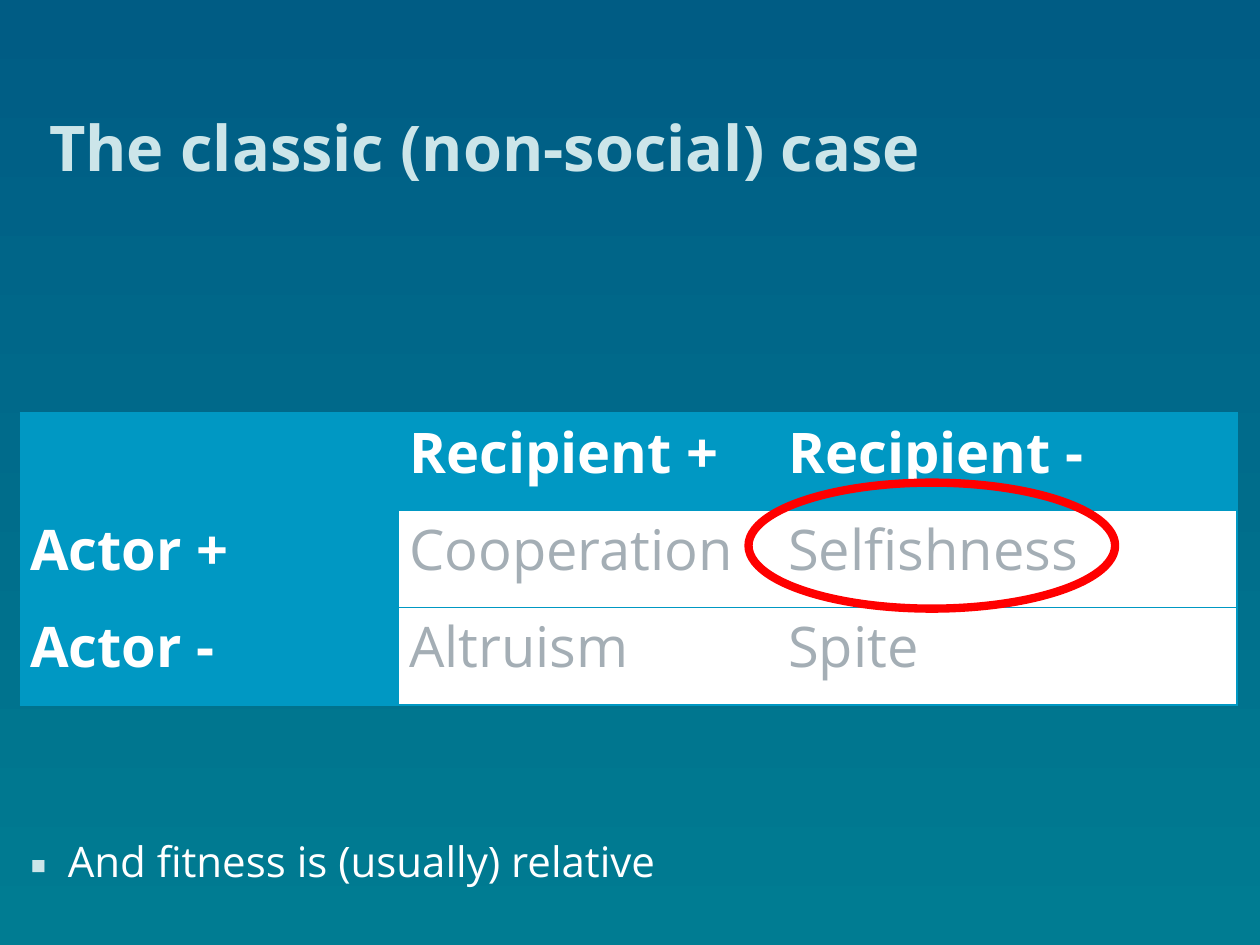
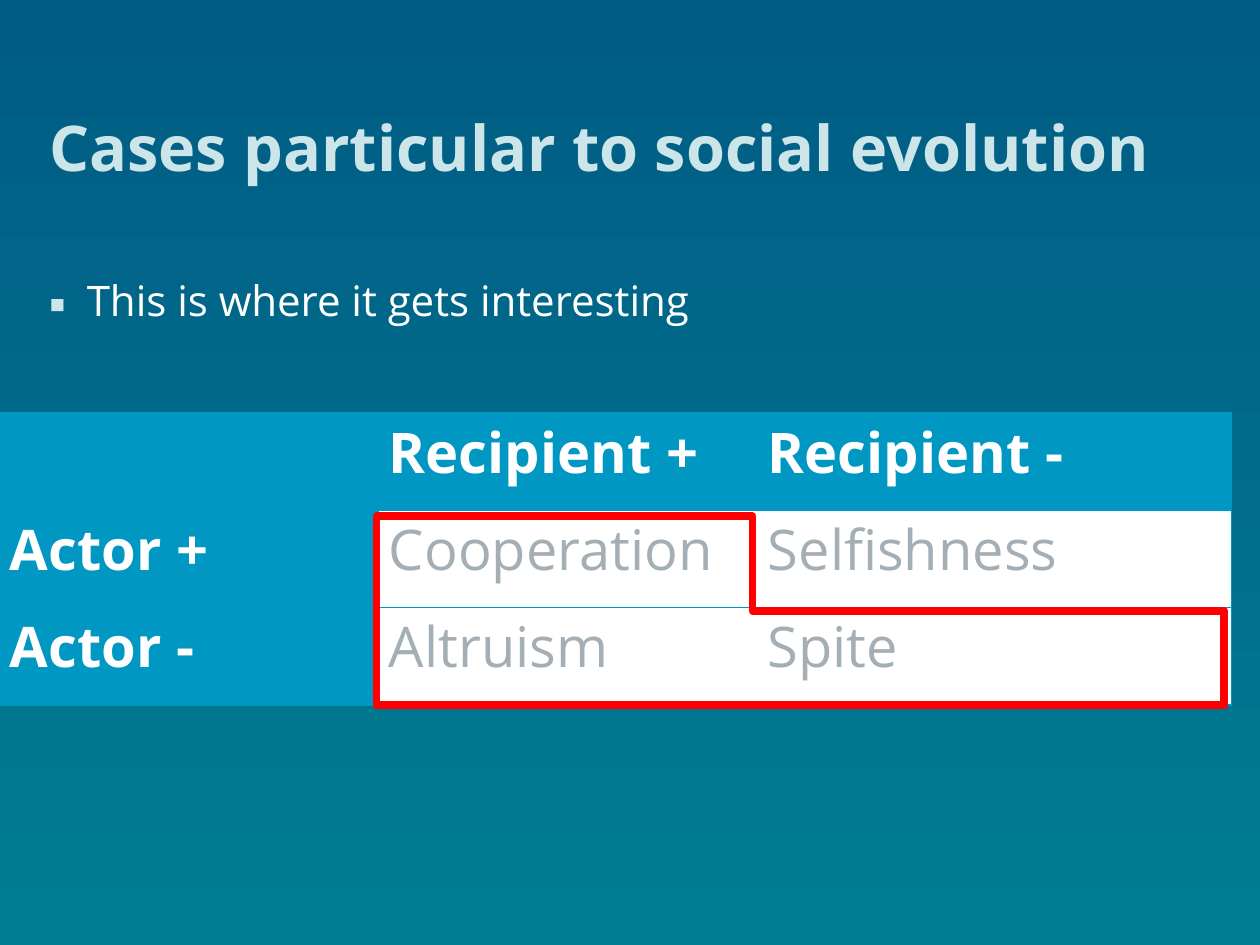
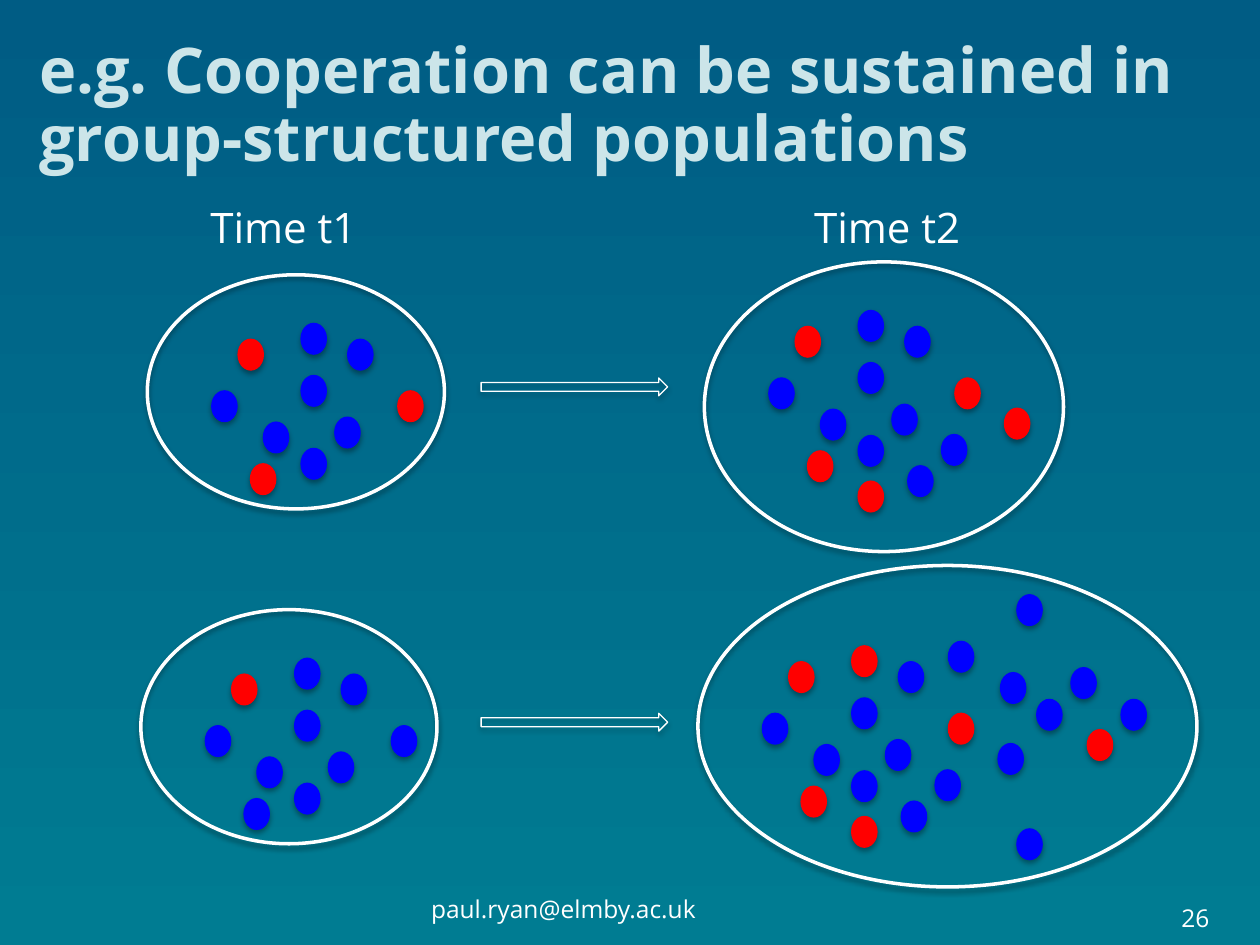
"""Build three slides on social evolution and group-structured populations."""
from lxml.etree import SubElement
from pptx import Presentation
from pptx.dml.color import RGBColor
from pptx.enum.shapes import MSO_SHAPE as Preset
from pptx.enum.text import MSO_ANCHOR as Anchor, PP_ALIGN as Align
from pptx.oxml import parse_xml
from pptx.oxml.ns import nsdecls, qn
from pptx.util import Cm, Pt

NAVY = RGBColor(0x00, 0x5C, 0x84)
TEAL = RGBColor(0x00, 0x7C, 0x92)
MIST = RGBColor(0xCC, 0xE5, 0xE9)
AZURE = RGBColor(0x00, 0x98, 0xC3)
GREY = RGBColor(0xA4, 0xAE, 0xB5)
WHITE = RGBColor(0xFF, 0xFF, 0xFF)
RED = RGBColor(0xFF, 0x00, 0x00)
BLUE = RGBColor(0x00, 0x00, 0xFF)

FONT = "Open Sans"
TITLE = {"size": Pt(36), "bold": True}
BODY = {"size": Pt(24), "bold": False}
FOOTER = {"size": Pt(14), "bold": False}
HEADING = {"size": Pt(32), "bold": True}
OUTCOME = {"size": Pt(32), "bold": False}
NO_INSETS = dict.fromkeys(
    ("margin_left", "margin_top", "margin_right", "margin_bottom"), 0)
CELL_INSETS = {**NO_INSETS, "margin_left": Cm(0.2), "margin_right": Cm(0.2)}

TITLE_BOX = (0.99, 0, 23.42, 3.73)
PAYOFFS = (
    ("", "Recipient +", "Recipient -"),
    ("Actor +", "Cooperation", "Selfishness"),
    ("Actor -", "Altruism", "Spite"),
)
TABLE_TOP = 8.33
COLUMN_WIDTH = 7.64
ROW_HEIGHT = 1.96

FOUNDERS = [
    (1.83, 1.30), (2.34, 2.97), (2.08, 3.81), (3.10, 3.50), (4.04, 1.30),
    (1.30, 2.34), (3.10, 0.98), (3.78, 2.87), (5.05, 2.34), (3.10, 2.03),
]
GROWN = FOUNDERS + [(3.10, 4.42), (4.10, 4.11), (4.78, 3.48), (6.05, 2.95)]
THRIVING = GROWN + [
    (6.10, 1.52), (6.83, 2.06), (5.05, 0.89), (7.52, 1.42),
    (7.85, 2.67), (8.53, 2.06), (6.43, 4.67), (6.43, -0.05),
]
POPULATIONS = (
    ((2.97, 5.54, 5.99, 4.72), FOUNDERS, {0, 2, 8}, 0),
    ((2.84, 12.29, 5.97, 4.72), FOUNDERS, {0}, 0),
    ((14.20, 5.28, 7.24, 5.84), GROWN, {0, 2, 8, 10, 13}, 0),
    ((14.07, 11.40, 10.06, 6.48), THRIVING, {0, 2, 6, 8, 10, 18}, 0.64),
)


def apply_formats(target, formats):
    """Set each format value on the target."""
    for attribute, value in formats.items():
        setattr(target, attribute, value)


def write(frame, words, style, color, **paragraph_formats):
    """Write one styled paragraph into a text frame."""
    paragraph = frame.paragraphs[0]
    apply_formats(paragraph, paragraph_formats)
    run = paragraph.add_run()
    run.text = words
    apply_formats(run.font, {"name": FONT, **style})
    run.font.color.rgb = color
    return paragraph


def add_words(slide, box, words, style, color=WHITE, frame_formats=None,
              **paragraph_formats):
    """Add a text box and return its paragraph."""
    frame = slide.shapes.add_textbox(*map(Cm, box)).text_frame
    apply_formats(frame, {"word_wrap": True, **NO_INSETS, **(frame_formats or {})})
    return write(frame, words, style, color, **paragraph_formats)


def add_title(slide, words, box=TITLE_BOX):
    """Add a slide title that sits on the bottom of its box."""
    add_words(slide, box, words, TITLE, MIST,
              {"vertical_anchor": Anchor.BOTTOM}, line_spacing=0.9)


def add_bullet(slide, box, words):
    """Add a body line with a small square bullet."""
    paragraph = add_words(slide, box, words, BODY, line_spacing=0.95)
    properties = paragraph._p.get_or_add_pPr()
    properties.set("marL", str(Cm(0.76)))
    properties.set("indent", str(-Cm(0.76)))
    bullet_color = SubElement(properties, qn("a:buClr"))
    SubElement(bullet_color, qn("a:srgbClr"), val=str(MIST))
    SubElement(properties, qn("a:buFont"), typeface=FONT)
    SubElement(properties, qn("a:buChar"), char="▪")


def add_borders(cell, sides):
    """Rule the named sides of a cell and clear the others."""
    properties = cell._tc.get_or_add_tcPr()
    for position, side in enumerate("LRTB"):
        paint = (f'<a:solidFill><a:srgbClr val="{AZURE}"/></a:solidFill>'
                 if side in sides else "<a:noFill/>")
        properties.insert(position, parse_xml(
            f'<a:ln{side} {nsdecls("a")} w="{Pt(1)}">{paint}</a:ln{side}>'))


def add_payoffs(slide, left, last_width):
    """Add the table of actor and recipient outcomes."""
    widths = (COLUMN_WIDTH, COLUMN_WIDTH, last_width)
    table = slide.shapes.add_table(
        len(PAYOFFS), len(widths), Cm(left), Cm(TABLE_TOP),
        Cm(sum(widths)), Cm(ROW_HEIGHT * len(PAYOFFS))).table
    apply_formats(table, {"first_row": False, "horz_banding": False})
    for column, width in zip(table.columns, widths):
        column.width = Cm(width)
    for r, outcomes in enumerate(PAYOFFS):
        table.rows[r].height = Cm(ROW_HEIGHT)
        for c, words in enumerate(outcomes):
            cell = table.cell(r, c)
            is_heading = r == 0 or c == 0
            apply_formats(cell, CELL_INSETS)
            cell.fill.solid()
            cell.fill.fore_color.rgb = AZURE if is_heading else WHITE
            add_borders(cell, "TB" + {0: "L", 2: "R"}.get(c, ""))
            if words:
                write(cell.text_frame, words, HEADING if is_heading else OUTCOME,
                      WHITE if is_heading else GREY, alignment=Align.LEFT)


def add_outline(shapes, preset, box, color, weight, filled=False, shaded=False):
    """Add a preset shape with a coloured line, and a fill or shadow if asked."""
    shape = shapes.add_shape(preset, *map(Cm, box))
    shape.shadow.inherit = False
    shape.line.color.rgb = color
    shape.line.width = Pt(weight)
    if filled:
        shape.fill.solid()
        shape.fill.fore_color.rgb = color
    else:
        shape.fill.background()
    if shaded:
        effects = shape._element.spPr.find(qn("a:effectLst"))
        effects.append(parse_xml(
            f'<a:outerShdw {nsdecls("a")} blurRad="{Pt(3.1)}" dist="{Pt(1.8)}" '
            'dir="5400000" rotWithShape="0"><a:srgbClr val="000000">'
            '<a:alpha val="35000"/></a:srgbClr></a:outerShdw>'))
    return shape


def add_population(slide, boundary, members, defectors, drop):
    """Add a group boundary with its cooperators and defectors."""
    shapes = slide.shapes.add_group_shape().shapes
    add_outline(shapes, Preset.OVAL, boundary, WHITE, 2, shaded=True)
    left, top = boundary[:2]
    for index, (x, y) in enumerate(members):
        add_outline(shapes, Preset.OVAL, (left + x, top + drop + y, 0.51, 0.62),
                    RED if index in defectors else BLUE, 0.75,
                    filled=True, shaded=True)


def paint_background(master):
    """Give every slide the same vertical gradient."""
    fill = master.background.fill
    fill.gradient()
    fill.gradient_angle = 270
    for stop, position, color in zip(fill.gradient_stops, (0, 1), (NAVY, TEAL)):
        stop.position = position
        stop.color.rgb = color


def build_classic_case(slide):
    """Build the slide on selfishness."""
    add_title(slide, "The classic (non-social) case")
    add_bullet(slide, (0.61, 16.92, 23.42, 1.5), "And fitness is (usually) relative")
    add_payoffs(slide, 0.41, 9.25)
    add_outline(slide.shapes, Preset.OVAL, (15.09, 9.73, 7.39, 2.54), RED, 4.75)


def build_social_cases(slide):
    """Build the slide on the three social outcomes."""
    add_title(slide, "Cases particular to social evolution")
    add_bullet(slide, (0.99, 5.61, 23.42, 12.5), "This is where it gets interesting")
    add_payoffs(slide, 0, 9.55)
    corner = add_outline(slide.shapes, Preset.CORNER,
                         (7.59, 10.41, 17.09, 3.81), RED, 4.5)
    corner.adjustments[0] = 0.5
    corner.adjustments[1] = 1.99


def build_group_structure(slide):
    """Build the slide on groups growing between two times."""
    add_title(slide, "e.g. Cooperation can be sustained in group-structured populations",
              (0.79, 0.43, 23.6, 3.1))
    bottom = {"vertical_anchor": Anchor.BOTTOM}
    add_words(slide, (8.69, 17.35, 8.05, 1.27), "paul.ryan@elmby.ac.uk",
              FOOTER, frame_formats=bottom)
    add_words(slide, (19.1, 17.53, 5.28, 1.27), "26", FOOTER,
              frame_formats=bottom, alignment=Align.RIGHT)
    for population in POPULATIONS:
        add_population(slide, *population)
    for left, moment in ((3.86, "Time t1"), (16.03, "Time t2")):
        add_words(slide, (left, 3.94, 3.71, 1.27), moment, BODY,
                  frame_formats={"word_wrap": False, "margin_top": Cm(0.13)},
                  alignment=Align.CENTER)
    for top in (7.62, 14.38):
        add_outline(slide.shapes, Preset.RIGHT_ARROW, (9.7, top, 3.76, 0.36),
                    WHITE, 0.75, shaded=True)


def main():
    """Build and save the presentation."""
    deck = Presentation()
    deck.slide_width, deck.slide_height = Cm(25.4), Cm(19.05)
    paint_background(deck.slide_master)
    for build in (build_classic_case, build_social_cases, build_group_structure):
        build(deck.slides.add_slide(deck.slide_layouts[6]))
    deck.save("out.pptx")


if __name__ == "__main__":
    main()
